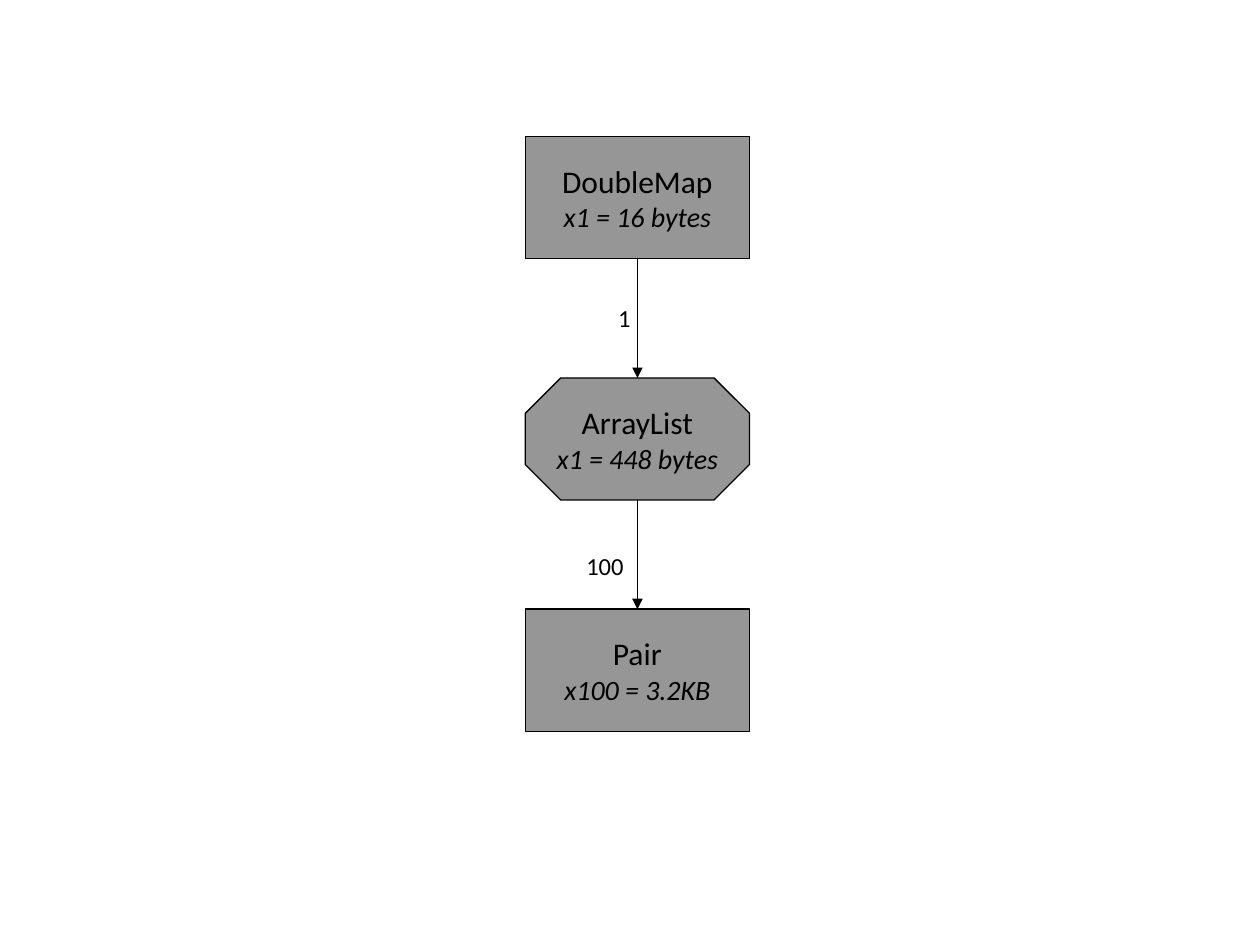
from lxml.etree import SubElement
from pptx import Presentation
from pptx.dml.color import RGBColor
from pptx.enum.shapes import MSO_CONNECTOR, MSO_SHAPE
from pptx.enum.text import MSO_ANCHOR, MSO_AUTO_SIZE, PP_ALIGN
from pptx.oxml.ns import qn
from pptx.util import Cm, Pt


def color(hex_string):
    return RGBColor.from_string(hex_string)


def write(para, text, font="Calibri", size=18, italic=False, ink="000000",
          align=PP_ALIGN.LEFT):
    para.alignment = align
    span = para.add_run()
    span.text = text
    span.font.name = font
    span.font.size = Pt(size)
    span.font.italic = italic
    span.font.color.rgb = color(ink)


class ObjectDiagram:
    ink = "000000"
    node_fill = "969696"
    line_width = Pt(0.75)
    center = 12.85
    node_width = 4.52
    node_height = 2.46

    def __init__(self, page):
        self.page = page

    def prepare_frame(self, frame, side, edge):
        frame.word_wrap = False
        frame.vertical_anchor = MSO_ANCHOR.MIDDLE
        frame.margin_left = frame.margin_right = Cm(side)
        frame.margin_top = frame.margin_bottom = Cm(edge)

    def node(self, kind, top, name, usage):
        box = self.page.shapes.add_shape(
            kind, Cm(self.center - self.node_width / 2), Cm(top),
            Cm(self.node_width), Cm(self.node_height))
        if kind == MSO_SHAPE.OCTAGON:
            box.adjustments[0] = 0.29
        box.shadow.inherit = False
        box.fill.solid()
        box.fill.fore_color.rgb = color(self.node_fill)
        box.line.color.rgb = color(self.ink)
        box.line.width = self.line_width
        frame = box.text_frame
        self.prepare_frame(frame, 0.23, 0.11)
        write(frame.paragraphs[0], name, align=PP_ALIGN.CENTER)
        write(frame.add_paragraph(), usage, size=16, italic=True,
              align=PP_ALIGN.CENTER)

    def arrow(self, start, end):
        link = self.page.shapes.add_connector(
            MSO_CONNECTOR.STRAIGHT, Cm(self.center), Cm(start),
            Cm(self.center), Cm(end))
        link.line.color.rgb = color(self.ink)
        link.line.width = self.line_width
        SubElement(link.line._get_or_add_ln(), qn("a:tailEnd"), type="triangle")
        SubElement(link._element.spPr, qn("a:effectLst"))

    def label(self, left, top, width, height, text):
        box = self.page.shapes.add_textbox(
            Cm(left), Cm(top), Cm(width), Cm(height))
        frame = box.text_frame
        self.prepare_frame(frame, 0.24, 0.12)
        frame.auto_size = MSO_AUTO_SIZE.SHAPE_TO_FIT_TEXT
        write(frame.paragraphs[0], text, size=14)


def main():
    deck = Presentation()
    deck.slide_width, deck.slide_height = Cm(25.4), Cm(19.05)
    diagram = ObjectDiagram(deck.slides.add_slide(deck.slide_layouts[6]))

    nodes = [
        (MSO_SHAPE.FLOWCHART_PROCESS, 2.75, "DoubleMap", "x1 = 16 bytes"),
        (MSO_SHAPE.OCTAGON, 7.62, "ArrayList", "x1 = 448 bytes"),
        (MSO_SHAPE.FLOWCHART_PROCESS, 12.28, "Pair", "x100 = 3.2KB"),
    ]
    for node in nodes:
        diagram.node(*node)
    for upper, lower in zip(nodes, nodes[1:]):
        diagram.arrow(upper[1] + diagram.node_height, lower[1])

    diagram.label(12.22, 5.97, 0.79, 0.86, "1")
    diagram.label(11.58, 11, 1.32, 0.82, "100")
    deck.save("out.pptx")


if __name__ == "__main__":
    main()
